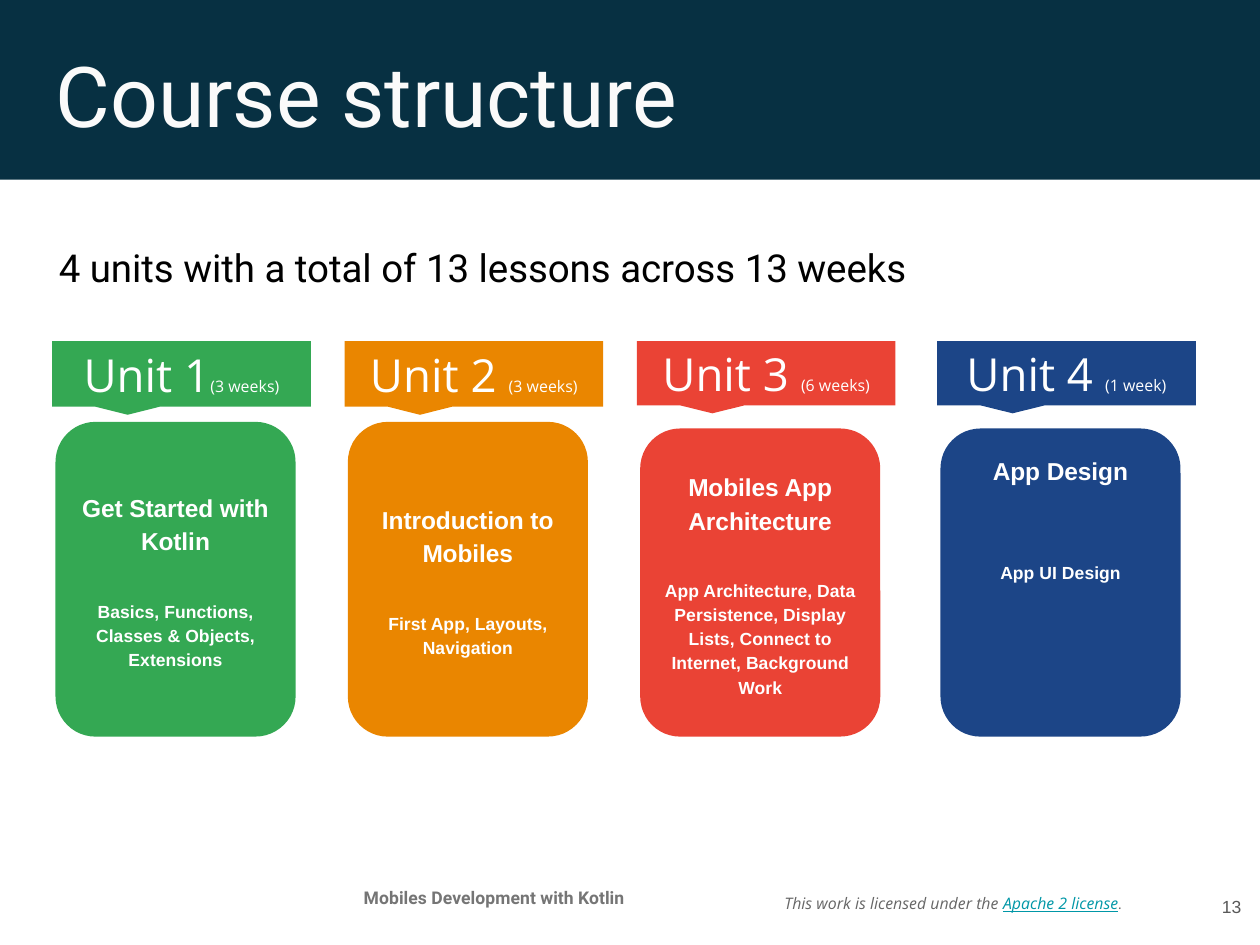
import pptx
import pptx.util
import pptx.dml.color
import pptx.enum.shapes
import pptx.enum.text

Cm, Pt = pptx.util.Cm, pptx.util.Pt
RGB = pptx.dml.color.RGBColor
SHAPE = pptx.enum.shapes.MSO_SHAPE
ALIGN = pptx.enum.text.PP_ALIGN
ANCHOR = pptx.enum.text.MSO_ANCHOR

NAVY = RGB(0x07, 0x30, 0x42)
GREEN = RGB(0x34, 0xA8, 0x53)
ORANGE = RGB(0xEA, 0x86, 0x00)
RED = RGB(0xEA, 0x43, 0x35)
BLUE = RGB(0x1C, 0x45, 0x87)
TEAL = RGB(0x00, 0x97, 0xA7)
WHITE = RGB(0xFF, 0xFF, 0xFF)
PALE = RGB(0xFA, 0xFA, 0xFA)
BLACK = RGB(0x00, 0x00, 0x00)
DARK = RGB(0x59, 0x59, 0x59)
GREY = RGB(0x66, 0x66, 0x66)
MID = RGB(0x75, 0x75, 0x75)

TAG_TOP, TAG_WIDTH = 5.16, 3.91
CARD_SHIFT, CARD_WIDTH, CARD_END = 0.05, 3.63, 11.14

# left, colour, tag height, card top, card anchor, gap in card, texts
UNITS = [
    (0.79, GREEN, 0.99, 6.38, ANCHOR.MIDDLE, 18, "Unit 1", "(3 weeks)",
     "Get Started with Kotlin",
     "Basics, Functions, Classes & Objects, Extensions"),
    (5.21, ORANGE, 0.99, 6.38, ANCHOR.MIDDLE, 18, "Unit 2 ", "(3 weeks)",
     "Introduction to Mobiles", "First App, Layouts, Navigation"),
    (9.63, RED, 0.97, 6.48, ANCHOR.MIDDLE, 18, "Unit 3 ", "(6 weeks)",
     "Mobiles App Architecture",
     "App Architecture, Data Persistence, Display Lists, "
     "Connect to Internet, Background Work"),
    (14.17, BLUE, 0.97, 6.48, ANCHOR.TOP, 31.5, "Unit 4 ", "(1 week)",
     "App Design", "App UI Design"),
]


def set_font(font, name, size, color, bold=False, italic=False):
    font.name, font.size = name, Pt(size)
    font.color.rgb = color
    font.bold, font.italic = bold, italic


def set_frame(frame, anchor):
    frame.word_wrap = True
    frame.auto_size = pptx.enum.text.MSO_AUTO_SIZE.NONE
    frame.vertical_anchor = anchor
    frame.margin_left = frame.margin_right = Cm(0.18)
    frame.margin_top = frame.margin_bottom = Cm(0.18)


def add_block(slide, kind, box, color):
    """Add a filled preset shape without line or shadow."""
    block = slide.shapes.add_shape(kind, *map(Cm, box))
    block.shadow.inherit = False
    block.fill.solid()
    block.fill.fore_color.rgb = color
    block.line.fill.background()
    return block


def add_label(slide, box, text, font, align=ALIGN.LEFT, anchor=ANCHOR.TOP):
    """Add a one-paragraph text box; font holds the set_font values."""
    frame = slide.shapes.add_textbox(*map(Cm, box)).text_frame
    set_frame(frame, anchor)
    para = frame.paragraphs[0]
    para.text, para.alignment = text, align
    set_font(para.font, *font)
    return para


def add_title(slide):
    title = slide.shapes.title
    title.left, title.top = Cm(0.66), Cm(0.48)
    title.width, title.height = Cm(17.75), Cm(1.6)
    set_frame(title.text_frame, ANCHOR.TOP)
    para = title.text_frame.paragraphs[0]
    para.text, para.alignment = "Course structure", ALIGN.LEFT
    set_font(para.font, "Roboto", 36, PALE)


def add_tag(slide, box, color, name, weeks):
    tag = add_block(slide, SHAPE.ROUNDED_RECTANGULAR_CALLOUT, box, color)
    for i, value in enumerate((-0.208, 0.625, 0)):
        tag.adjustments[i] = value
    set_frame(tag.text_frame, ANCHOR.MIDDLE)
    para = tag.text_frame.paragraphs[0]
    para.alignment = ALIGN.CENTER
    for text, size in ((name, 19.5), (weeks, 6.8)):
        run = para.add_run()
        run.text = text
        set_font(run.font, "Open Sans", size, WHITE)


def add_card(slide, box, color, anchor, gap, head, body):
    card = add_block(slide, SHAPE.ROUNDED_RECTANGLE, box, color)
    frame = card.text_frame
    set_frame(frame, anchor)
    first, second = frame.paragraphs[0], frame.add_paragraph()
    for para, text, size in ((first, head, 10.5), (second, body, 7.5)):
        para.text, para.alignment = text, ALIGN.CENTER
        para.line_spacing = 1.15
        set_font(para.font, "Arial", size, WHITE, True)
    second.space_before, second.space_after = Pt(gap), Pt(4.5)


def add_license(slide):
    para = add_label(slide, (11.68, 13.06, 5.59, 1.19),
                     "This work is licensed under the ",
                     ("Open Sans", 6.8, GREY, False, True),
                     anchor=ANCHOR.MIDDLE)
    link, stop = para.add_run(), para.add_run()
    link.text, stop.text = "Apache 2 license", "."
    link.font.color.rgb = TEAL
    link.font.underline = True
    stop.font.name = "Roboto"


def main():
    deck = pptx.Presentation()
    deck.slide_width, deck.slide_height = Cm(19.05), Cm(14.29)
    slide = deck.slides.add_slide(deck.slide_layouts[5])

    band = add_block(slide, SHAPE.RECTANGLE, (-0.03, -0.1, 19.1, 2.82), NAVY)
    slide.shapes.title.element.addprevious(band.element)
    add_title(slide)
    add_label(slide, (0.71, 3.51, 17.75, 1.09),
              "4 units with a total of 13 lessons across 13 weeks",
              ("Roboto", 16.5, BLACK))

    for left, color, tall, top, anchor, gap, name, weeks, head, body in UNITS:
        add_tag(slide, (left, TAG_TOP, TAG_WIDTH, tall), color, name, weeks)
        box = (left + CARD_SHIFT, top, CARD_WIDTH, CARD_END - top)
        add_card(slide, box, color, anchor, gap, head, body)

    add_label(slide, (4.78, 13.23, 5.38, 0.81), "Mobiles Development with Kotlin",
              ("Roboto", 7.5, MID, True), ALIGN.CENTER)
    add_license(slide)
    add_label(slide, (17.81, 13.16, 1.14, 1.09), "13",
              ("Arial", 7.5, DARK), ALIGN.RIGHT, ANCHOR.MIDDLE)
    deck.save("out.pptx")


if __name__ == "__main__":
    main()
